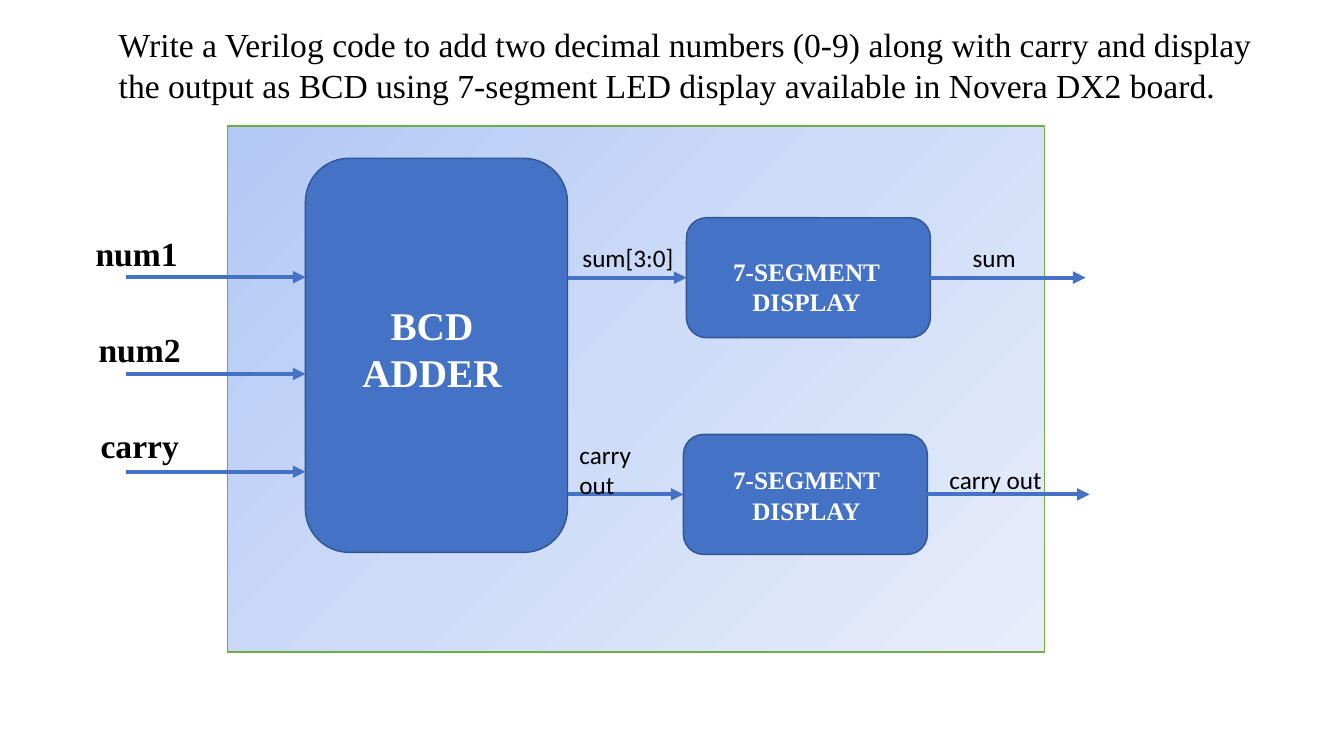
import pptx
import pptx.dml.color
import pptx.enum.shapes
import pptx.enum.text
import pptx.oxml
import pptx.oxml.ns
import pptx.util
from dataclasses import dataclass

SHAPE = pptx.enum.shapes.MSO_SHAPE
ALIGN = pptx.enum.text.PP_ALIGN
ANCHOR = pptx.enum.text.MSO_ANCHOR
LEFT, RIGHT = 1, 3  # connection sites of a rectangle


@dataclass(frozen=True)
class Theme:
    serif: str = "Times New Roman"
    sans: str = "Calibri"
    ink: str = "000000"
    white: str = "FFFFFF"
    block: str = "4472C4"
    edge: str = "325491"
    rim: str = "70AD47"
    glow: tuple = ((0, "B2C8F5"), (50, "CFDCF8"), (100, "E7EDFB"))
    large: int = 28
    mid: int = 24
    small: int = 18
    thin: int = 1
    thick: int = 3


THEME = Theme()


def grid(count):
    """Length of a number of grid cells; ten cells make an inch."""
    return pptx.util.Inches(count / 10)


def color(code):
    return pptx.dml.color.RGBColor.from_string(code)


def add_xml(parent, tag, inner=""):
    space = pptx.oxml.ns.nsdecls("a")
    node = pptx.oxml.parse_xml(f"<a:{tag} {space}>{inner}</a:{tag}>")
    parent.append(node)
    return node


def add_box(slide, kind, cells, fill, line):
    box = slide.shapes.add_shape(kind, *map(grid, cells))
    box.shadow.inherit = False
    box.fill.solid()
    box.fill.fore_color.rgb = color(fill)
    box.line.color.rgb = color(line)
    box.line.width = pptx.util.Pt(THEME.thin)
    return box


def add_glow(box, stops):
    """Give a box a gradient that spreads from its top left corner."""
    marks = "".join(
        f'<a:gs pos="{share * 1000}"><a:srgbClr val="{code}"/></a:gs>'
        for share, code in stops)
    props = box.element.spPr
    solid = props.find(pptx.oxml.ns.qn("a:solidFill"))
    glow = add_xml(
        props, "gradFill",
        f'<a:gsLst>{marks}</a:gsLst><a:path path="circle">'
        '<a:fillToRect r="100000" b="100000"/></a:path>')
    props.replace(solid, glow)


def add_text(slide, text, cells, *, size=THEME.small, font=THEME.serif,
             ink=THEME.ink, bold=False, align=ALIGN.LEFT,
             anchor=ANCHOR.TOP, indent=0):
    frame = slide.shapes.add_textbox(*map(grid, cells)).text_frame
    frame.word_wrap = True
    frame.auto_size = pptx.enum.text.MSO_AUTO_SIZE.SHAPE_TO_FIT_TEXT
    frame.vertical_anchor = anchor
    para = frame.paragraphs[0]
    para.alignment = align
    if indent:
        props = para._p.get_or_add_pPr()
        props.set("marL", str(grid(indent)))
        props.set("indent", "0")
    run = para.add_run()
    run.text = text
    run.font.size = pptx.util.Pt(size)
    run.font.name = font
    run.font.bold = bold
    run.font.color.rgb = color(ink)


def add_arrow(slide, start, end, row, source=None, target=None):
    """Draw a level arrow, joined to the source and target if given."""
    arrow = slide.shapes.add_connector(
        pptx.enum.shapes.MSO_CONNECTOR.STRAIGHT,
        grid(start), grid(row), grid(end), grid(row))
    if source is not None:
        arrow.begin_connect(source, RIGHT)
    if target is not None:
        arrow.end_connect(target, LEFT)
    arrow.line.color.rgb = color(THEME.block)
    arrow.line.width = pptx.util.Pt(THEME.thick)
    head = add_xml(arrow.line._get_or_add_ln(), "tailEnd")
    head.set("type", "triangle")
    add_xml(arrow.element.spPr, "effectLst")


def add_block(slide, cells):
    return add_box(slide, SHAPE.ROUNDED_RECTANGLE, cells,
                   THEME.block, THEME.edge)


def main():
    deck = pptx.Presentation()
    deck.slide_width, deck.slide_height = grid(133.33), grid(75)
    slide = deck.slides.add_slide(deck.slide_layouts[6])

    board = add_box(slide, SHAPE.RECTANGLE, (22.6, 12.5, 81, 52.2),
                    THEME.white, THEME.rim)
    add_glow(board, THEME.glow)

    near, wide = 30.3, 26
    far = near + wide
    add_block(slide, (near, 15.7, wide, 39.1))
    add_text(slide, "BCD ADDER", (34.3, 29.4, 17.1, 10.4),
             size=THEME.large, ink=THEME.white, bold=True,
             align=ALIGN.CENTER, anchor=ANCHOR.MIDDLE)

    breadth, height = 24.2, 11.9
    for left, top, title, end in ((68.1, 21.6, 24.9, 107.7),
                                  (67.8, 43.1, 45.6, 108.1)):
        show = add_block(slide, (left, top, breadth, height))
        row = top + height / 2
        add_text(slide, "7-SEGMENT DISPLAY", (70.9, title, 18.2, 7.1),
                 ink=THEME.white, bold=True, align=ALIGN.CENTER)
        add_arrow(slide, far, left, row, target=show)
        add_arrow(slide, left + breadth, end, row, source=show)

    for name, left, top, row in (("num1", 8.5, 22.6, 27.5),
                                 ("num2", 8.8, 32.1, 37.1),
                                 ("carry", 9, 41.7, 46.8)):
        add_arrow(slide, 12.5, near, row)
        add_text(slide, name, (left, top, 15.4, 5),
                 size=THEME.mid, bold=True)

    add_text(slide,
             "Write a Verilog code to add two decimal numbers (0-9) along "
             "with carry and display the output as BCD using 7-segment LED "
             "display available in Novera DX2 board.",
             (5.8, 1.9, 122.3, 9.1), size=THEME.mid, indent=5)

    for name, cells in (("sum", (95.5, 23.5, 7.1, 4)),
                        ("carry out", (56.5, 43.1, 9.6, 7.1)),
                        ("sum[3:0]", (56.8, 23.5, 11.3, 4)),
                        ("carry out", (93.2, 45.6, 12.8, 4))):
        add_text(slide, name, cells, font=THEME.sans)

    deck.save("out.pptx")


if __name__ == "__main__":
    main()
